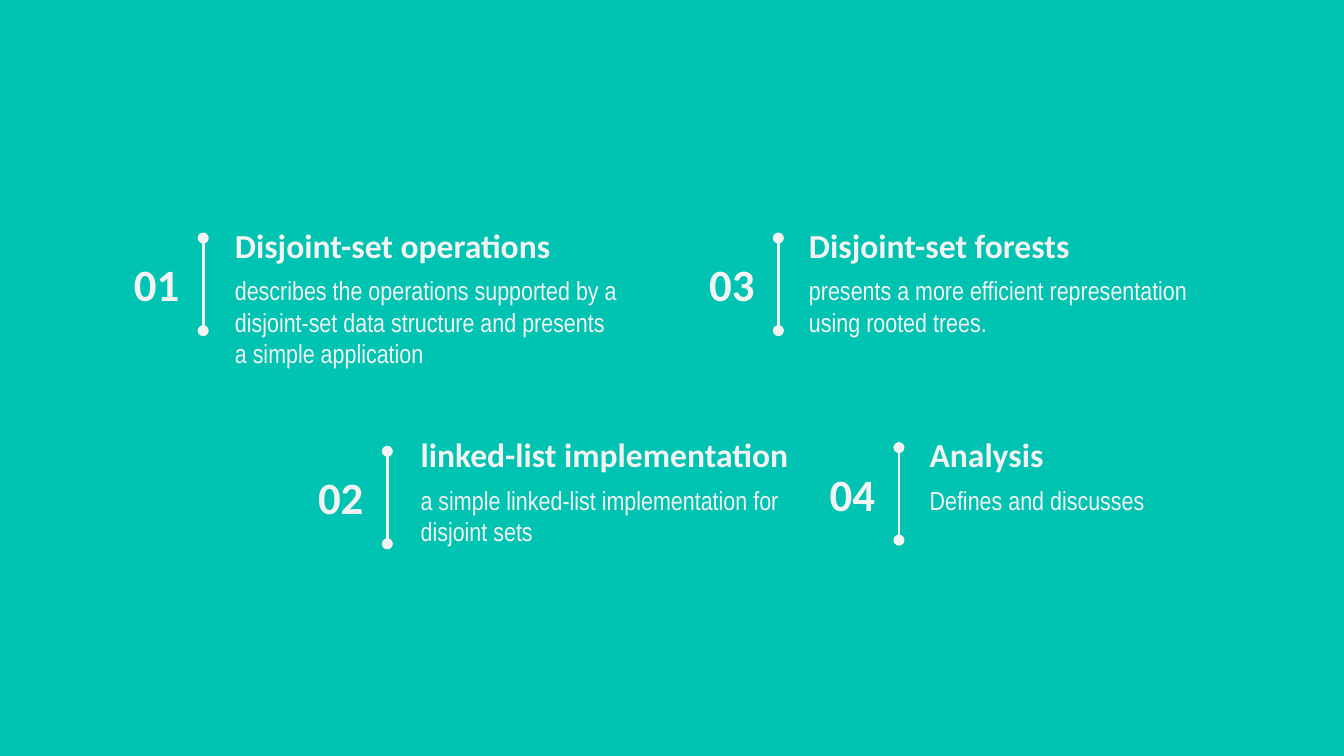
"""Build an agenda slide with four numbered topics on disjoint sets."""
from pptx import Presentation
from pptx.dml.color import RGBColor as RGB
from pptx.enum.shapes import MSO_CONNECTOR as Link
from pptx.enum.text import MSO_ANCHOR as Anchor, MSO_AUTO_SIZE as Fit, PP_ALIGN as Align
from pptx.oxml.ns import qn
from pptx.util import Cm, Pt
from lxml.etree import SubElement

COLORS = {"back": "00C3B1", "ink": "F3F3F3"}
INK = RGB.from_string(COLORS["ink"])
TOPICS = [
    ("01", "Disjoint-set operations",
     "describes the operations supported by a disjoint-set data structure and presents a simple application",
     4.19, 4.04, 7.04, 7.75, 3.84, 4.5),
    ("02", "linked-list implementation",
     "a simple linked-list implementation for disjoint sets",
     7.7, 8, 8.2, 7.34, 7.32, 8.53),
    ("03", "Disjoint-set forests",
     "presents a more efficient representation using rooted trees.",
     15.04, 4.04, 6.5, 7.75, 14.71, 4.5),
    ("04", "Analysis", "Defines and discusses",
     17.32, 8, 6.5, 7.75, 16.99, 8.46),
]

deck = Presentation()
deck.slide_width, deck.slide_height = Cm(25.4), Cm(14.29)
slide = deck.slides.add_slide(deck.slide_layouts[5])
slide.background.fill.solid()
slide.background.fill.fore_color.rgb = RGB.from_string(COLORS["back"])


def write(box, spot, text, size, face="Calibri", bold=True,
          align=Align.LEFT, anchor=Anchor.MIDDLE, after=0):
    box.left, box.top, box.width, box.height = map(Cm, spot)
    frame = box.text_frame
    frame.auto_size = Fit.NONE
    frame.word_wrap = True
    frame.vertical_anchor = anchor
    frame.margin_left = frame.margin_right = Cm(0.25)
    frame.margin_top = frame.margin_bottom = Cm(0.25)
    para = frame.paragraphs[0]
    para.alignment = align
    para.space_after = Pt(after)
    run = para.add_run()
    run.text = text
    run.font.name, run.font.size, run.font.bold = face, Pt(size), bold
    run.font.color.rgb = INK


def new_box():
    return slide.shapes.add_textbox(0, 0, Cm(1), Cm(1))


for num, head, note, left, top, head_w, note_w, bar_x, bar_y in TOPICS:
    box = slide.shapes.title if num == "01" else new_box()
    write(box, (left, top, head_w, 1.17), head, 18)
    write(new_box(), (left, top + 0.9, note_w, 1.8), note, 14,
          "Arial Narrow", False, anchor=Anchor.TOP, after=16)
    write(new_box(), (bar_x - 1.88, bar_y + 0.28, 1.68, 1.17), num, 24, align=Align.RIGHT)

    bar = slide.shapes.add_connector(
        Link.STRAIGHT, Cm(bar_x), Cm(bar_y), Cm(bar_x), Cm(bar_y + 1.75))
    bar.line.color.rgb = INK
    bar.line.width = Pt(1.5)
    for end in ("a:headEnd", "a:tailEnd"):
        SubElement(bar.line._get_or_add_ln(), qn(end), type="oval")
    SubElement(bar._element.spPr, qn("a:effectLst"))

deck.save("out.pptx")
